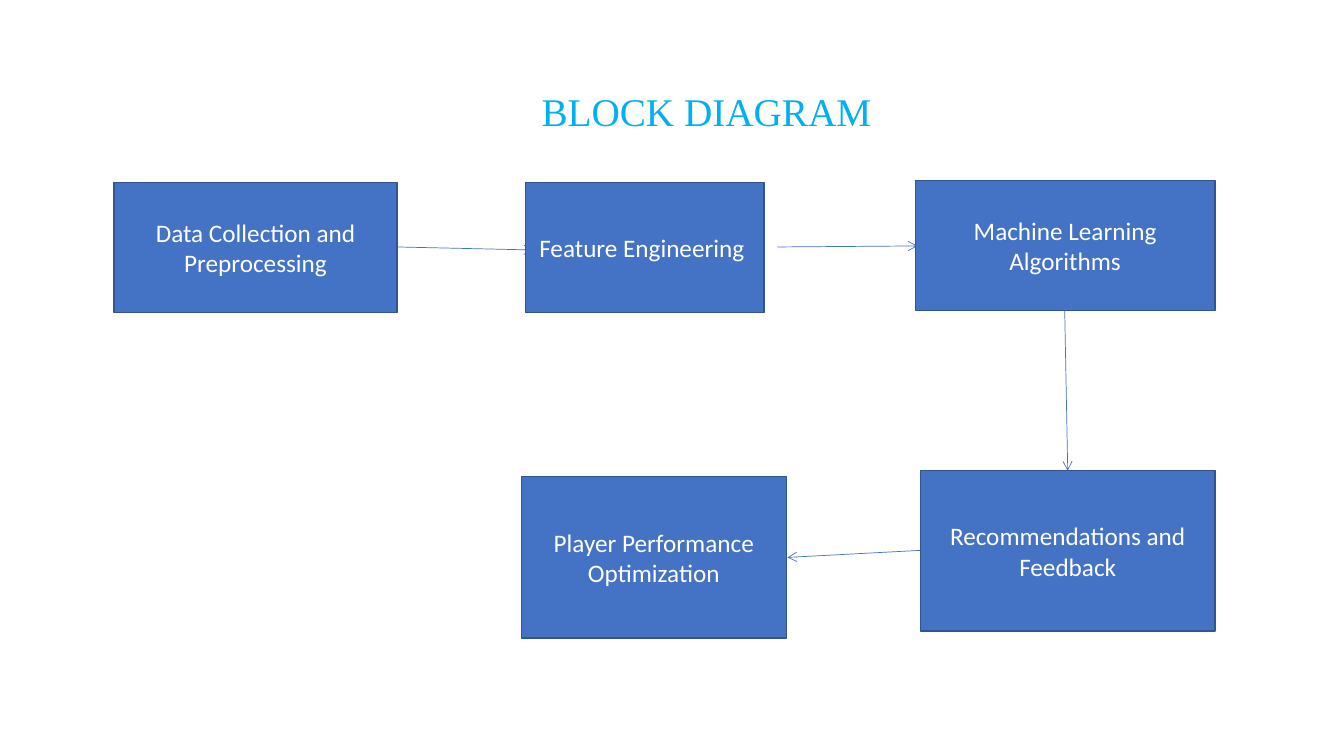
from pptx import Presentation
from pptx import util as u
from pptx.dml.color import RGBColor
from pptx.enum import shapes, text
from pptx.oxml.ns import qn
from lxml import etree

COLORS = {
    "title": "00B0F0",
    "block": "4472C4",
    "border": "325491",
    "label": "FFFFFF",
}

BLOCKS = [
    ("Data Collection and Preprocessing", 1.13, 1.81, 2.81, 1.29),
    ("Feature Engineering ", 5.21, 1.81, 2.37, 1.29),
    ("Machine Learning Algorithms", 9.08, 1.79, 2.97, 1.29),
    ("Recommendations and Feedback", 9.13, 4.67, 2.92, 1.59),
    ("Player Performance Optimization", 5.17, 4.73, 2.63, 1.6),
]

ARROWS = [
    (3.94, 2.45, 5.29, 2.48),
    (7.71, 2.45, 9.1, 2.44),
    (10.56, 3.08, 10.59, 4.67),
    (9.13, 5.46, 7.81, 5.53),
]


def color(name):
    return RGBColor.from_string(COLORS[name])


def write_centered(frame, wording, font_name, size, color_name):
    frame.word_wrap = True
    frame.vertical_anchor = text.MSO_ANCHOR.MIDDLE
    paragraph = frame.paragraphs[0]
    paragraph.alignment = text.PP_ALIGN.CENTER
    run = paragraph.add_run()
    run.text = wording
    run.font.name = font_name
    run.font.size = u.Pt(size)
    run.font.color.rgb = color(color_name)
    return paragraph


def add_title(slide, wording, *bounds):
    title = slide.shapes.add_textbox(*map(u.Inches, bounds))
    paragraph = write_centered(title.text_frame, wording, "Times New Roman", 28, "title")
    paragraph.line_spacing = 0.9


def add_block(slide, label, *bounds):
    block = slide.shapes.add_shape(shapes.MSO_SHAPE.RECTANGLE, *map(u.Inches, bounds))
    block.shadow.inherit = False
    block.fill.solid()
    block.fill.fore_color.rgb = color("block")
    block.line.color.rgb = color("border")
    block.line.width = u.Pt(1)
    write_centered(block.text_frame, label, "Calibri", 18, "label")


def add_arrow(slide, *ends):
    arrow = slide.shapes.add_connector(shapes.MSO_CONNECTOR.STRAIGHT, *map(u.Inches, ends))
    arrow.line.color.rgb = color("block")
    arrow.line.width = u.Pt(0.5)
    etree.SubElement(arrow.line._get_or_add_ln(), qn("a:tailEnd"), type="arrow")
    etree.SubElement(arrow._element.spPr, qn("a:effectLst"))


def main():
    deck = Presentation()
    deck.slide_width = u.Inches(13.33)
    deck.slide_height = u.Inches(7.5)
    slide = deck.slides.add_slide(deck.slide_layouts[6])

    add_title(slide, "BLOCK DIAGRAM", 3.48, 0.4, 7.05, 1.45)
    for ends in ARROWS:
        add_arrow(slide, *ends)
    for label, *bounds in BLOCKS:
        add_block(slide, label, *bounds)

    deck.save("out.pptx")


if __name__ == "__main__":
    main()
